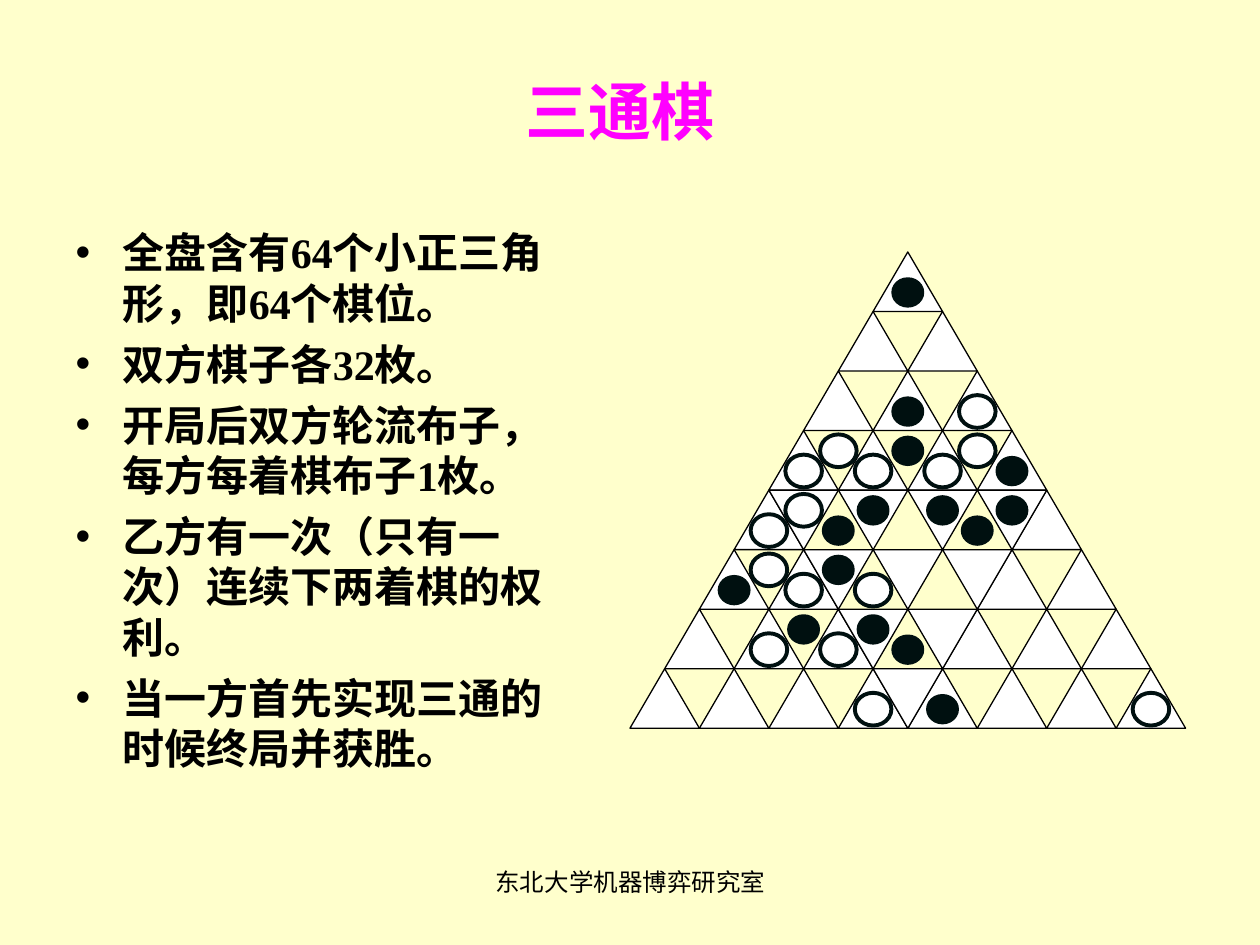
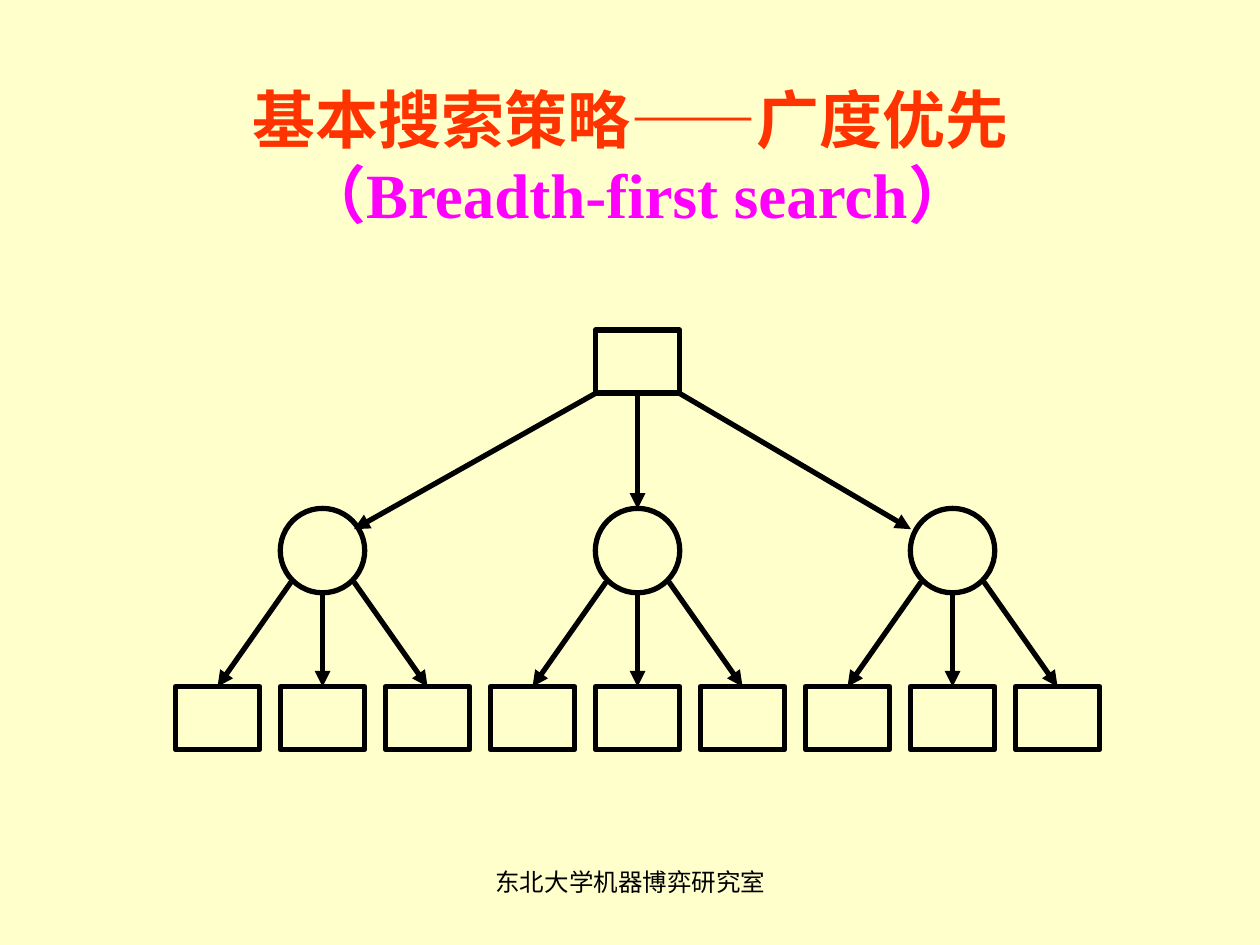
from pptx import Presentation
from pptx.dml.color import RGBColor
from pptx.enum.shapes import MSO_CONNECTOR, MSO_SHAPE
from pptx.enum.text import MSO_ANCHOR, MSO_AUTO_SIZE, PP_ALIGN
from pptx.oxml.ns import qn
from pptx.util import Inches, Pt
from lxml.etree import SubElement

CREAM, WHITE, BLACK, INK = "FFFFCC", "FFFFFF", "000000", "001010"
PINK, RED = "FF00FF", "FF3300"
SERIF, SANS = "Times New Roman", "Arial"


def paint(part, tone):
    """Give a fill or a font one solid hex colour."""
    if hasattr(part, "solid"):
        part.solid()
        part.fore_color.rgb = RGBColor.from_string(tone)
    else:
        part.color.rgb = RGBColor.from_string(tone)


def draw(slide, kind, mid, size, fill, line, width):
    """Draw a preset shape around its centre, all lengths in inches."""
    (x, y), (w, h) = mid, size
    shape = slide.shapes.add_shape(
        kind, Inches(x - w / 2), Inches(y - h / 2), Inches(w), Inches(h))
    shape.shadow.inherit = False
    if fill:
        paint(shape.fill, fill)
    else:
        shape.fill.background()
    paint(shape.line.fill, line)
    shape.line.width = Pt(width)
    return shape


prs = Presentation()
prs.slide_width, prs.slide_height = Inches(10), Inches(7.5)
paint(prs.slide_master.background.fill, CREAM)

# Shared title style and footer; each title is a list of (text, colour)
pages = [
    (1, (0.42, 0.25, 9, 1.25), [("三通棋", PINK)]),
    (5, (0.5, 0.3, 9, 1.87), [("基本搜索策略——广度优先\v ", RED),
                              ("（Breadth-first search）", PINK)]),
]
for layout, box, parts in pages:
    slide = prs.slides.add_slide(prs.slide_layouts[layout])
    title = slide.shapes.title
    title.left, title.top, title.width, title.height = map(Inches, box)
    frame = title.text_frame
    frame.auto_size = MSO_AUTO_SIZE.NONE
    frame.vertical_anchor = MSO_ANCHOR.MIDDLE
    para = frame.paragraphs[0]
    para.alignment = PP_ALIGN.CENTER
    para.font.name, para.font.size, para.font.bold = SERIF, Pt(36), True
    for text, tone in parts:
        first, *rest = text.split("\v")
        run = para.add_run()
        run.text = first
        paint(run.font, tone)
        for tail in rest:
            para.add_line_break()
            run = para.add_run()
            run.text = tail
            paint(run.font, tone)

    foot = slide.shapes.add_textbox(*map(Inches, (3.42, 6.83, 3.17, 0.52)))
    foot.text_frame.word_wrap = True
    para = foot.text_frame.paragraphs[0]
    para.text = "东北大学机器博弈研究室"
    para.alignment = PP_ALIGN.CENTER
    para.font.name, para.font.size = SANS, Pt(14)
    paint(para.font, BLACK)

game, tree = prs.slides

# Rules of the game
rules = [
    "全盘含有64个小正三角形，即64个棋位。",
    "双方棋子各32枚。",
    "开局后双方轮流布子，每方每着棋布子1枚。",
    "乙方有一次（只有一次）连续下两着棋的权利。",
    "当一方首先实现三通的时候终局并获胜。",
]
body = game.placeholders[1]
body.left, body.top, body.width, body.height = map(Inches, (0.5, 1.75, 4, 4.5))
frame = body.text_frame
frame.auto_size = MSO_AUTO_SIZE.NONE
for i, rule in enumerate(rules):
    para = frame.add_paragraph() if i else frame.paragraphs[0]
    para.text = rule
    para.line_spacing, para.space_before = 1.0, Pt(6)
    para.font.name, para.font.size, para.font.bold = SERIF, Pt(24), True
    paint(para.font, BLACK)

# Board: ROWS rows of triangles; a column is half a triangle wide
ROWS, LEFT, TOP = 8, 5, 2
COL, ROW = 4.41 / 16, 3.78 / 8
cell = (2 * COL, ROW)
up, down = [], []
for row in range(ROWS):
    deep = row - ROWS // 2
    start = ROWS - row
    # The lower half holds an inverted triangle, drawn with its point down
    gap = range(deep + 1, ROWS // 2) if deep >= 0 else ()
    up += [(start + 2 * j, row) for j in range(row + 1) if j not in gap]
    if deep >= 0:
        down += [(start + 1 + 2 * j, row) for j in range(deep, ROWS // 2)]
for spots, turn in ((up, 0), (down, 180)):
    for col, row in spots:
        mid = (LEFT + col * COL, TOP + (row + 0.5) * ROW)
        tile = draw(game, MSO_SHAPE.ISOSCELES_TRIANGLE, mid, cell,
                    WHITE, BLACK, 0.74)
        tile.rotation = turn

# Pieces by row; columns are counted from the left corner
white = {2: [10], 3: [5, 6, 7, 9, 10], 4: [4, 5], 5: [4, 5, 7],
         6: [4, 6], 7: [7, 15]}
black = {0: [8], 2: [8], 3: [8, 11], 4: [6, 7, 9, 10, 11], 5: [3, 6],
         6: [5, 7, 8], 7: [9]}
for side, tone, size in ((white, WHITE, (0.29, 0.26)),
                         (black, INK, (0.23, 0.21))):
    for row, cols in side.items():
        for col in cols:
            share = 0.34 if (col + row) % 2 else 0.68
            mid = (LEFT + col * COL, TOP + (row + share) * ROW)
            draw(game, MSO_SHAPE.OVAL, mid, size, tone, INK, 2.24)

# Search tree: one root, three nodes, three leaves under each node
STEP, MID, BOX, DISC = 10 / 12, 5.06, (0.67, 0.5), (0.67, 0.67)
HALF = 0.33
arrows = []
draw(tree, MSO_SHAPE.RECTANGLE, (MID, 2.87), BOX, None, BLACK, 3)
for i, end in zip((-1, 0, 1), ((2.81, 4.2), (MID, 4.04), (7.23, 4.2))):
    x = MID + 3 * STEP * i
    draw(tree, MSO_SHAPE.OVAL, (x, 4.37), DISC, None, BLACK, 3)
    arrows.append(((MID + HALF * i, 3.12), end))
    for j in (-1, 0, 1):
        leaf = x + STEP * j
        draw(tree, MSO_SHAPE.RECTANGLE, (leaf, 5.7), BOX, None, BLACK, 3)
        arrows.append(((x + 0.25 * j, 4.62 if j else 4.7), (leaf, 5.45)))
for start, end in arrows:
    line = tree.shapes.add_connector(
        MSO_CONNECTOR.STRAIGHT, *map(Inches, start + end))
    paint(line.line.fill, BLACK)
    line.line.width = Pt(3)
    SubElement(line.line._get_or_add_ln(), qn("a:tailEnd"), type="triangle")
    SubElement(line._element.spPr, qn("a:effectLst"))

prs.save("out.pptx")
